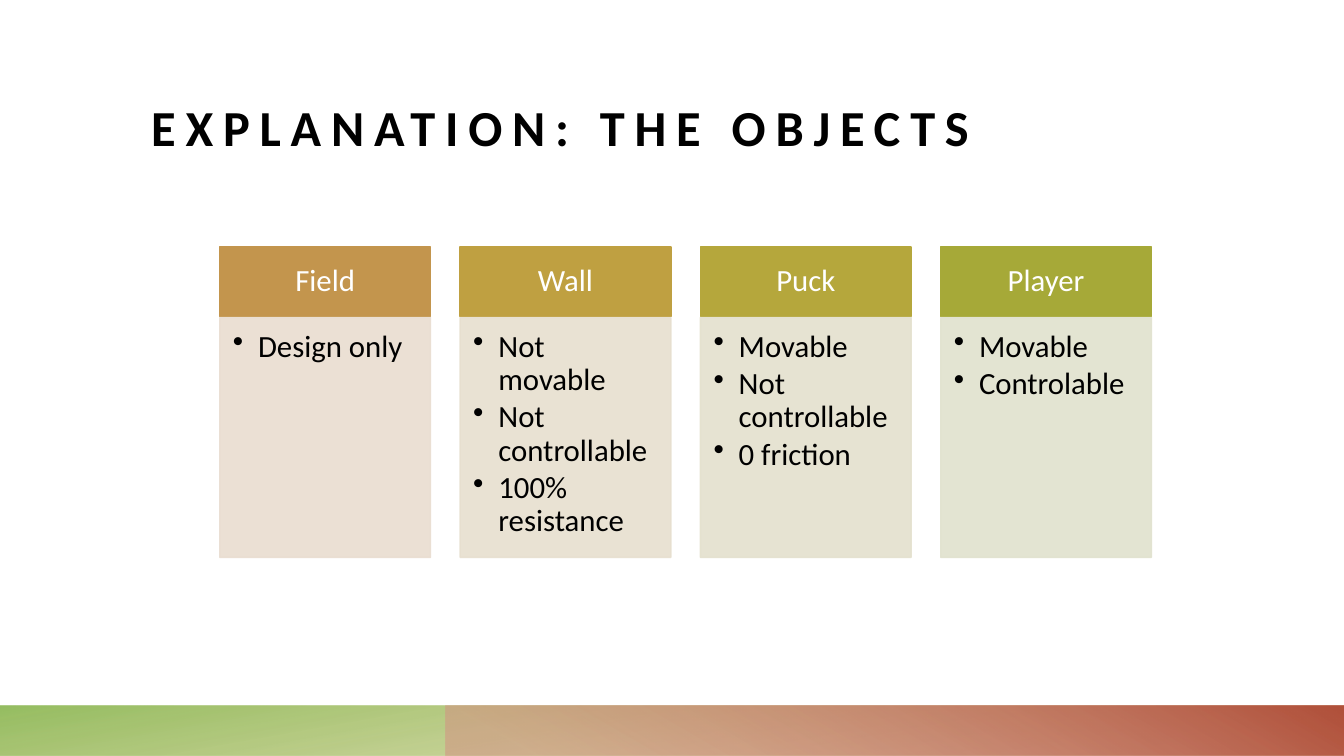
"""Build the slide that lists the game objects and their properties."""
from pptx import Presentation
from pptx.dml.color import RGBColor
from pptx.enum import shapes, text
from pptx.oxml.ns import qn
from pptx.util import Inches, Pt

TITLE = "EXPLANATION: THE OBJECTS"
OBJECTS = [
    ("Field", ["Design only"]),
    ("Wall", ["Not movable", "Not controllable", "100% resistance"]),
    ("Puck", ["Movable", "Not controllable", "0 friction"]),
    ("Player", ["Movable", "Controlable"]),
]
COLORS = {
    "black": "000000", "white": "FFFFFF",
    "olive": "A6A938", "green": "83B246", "pink": "D69384", "red": "B1513B",
    "heads": ["C3954D", "BFA041", "B5A73C", "A6A938"],
    "bodies": ["E9DDD0", "E7DFCF", "E4E1CE", "E1E2CE"],
}
BANDS = [
    (0, 13.33, 100, [(0.14, "olive", 28), (1, "green", 85)]),
    (4.42, 8.92, 60, [(0.09, "pink", 55), (0.99, "red", 100)]),
]
FIRST_LEFT, LAST_LEFT, TOP = 2.18, 9.33, 2.45
WIDTH, HEAD_HEIGHT, BODY_HEIGHT = 2.09, 0.69, 2.38
PITCH = (LAST_LEFT - FIRST_LEFT) / (len(OBJECTS) - 1)


def rgb(value):
    return RGBColor.from_string(value)


def set_alphas(sp, alphas):
    for color, alpha in zip(sp._element.spPr.iter(qn("a:srgbClr")), alphas):
        color.makeelement(qn("a:alpha"))
        etree_alpha = color.makeelement(qn("a:alpha"), {"val": str(alpha * 1000)})
        color.append(etree_alpha)


def add_rect(s, left, top, width, height):
    sp = s.shapes.add_shape(shapes.MSO_SHAPE.RECTANGLE, Inches(left), Inches(top),
                            Inches(width), Inches(height))
    sp.shadow.inherit = False
    return sp


def add_band(s, left, width, angle, stops):
    sp = add_rect(s, left, 7, width, 0.5)
    sp.line.fill.background()
    sp.fill.gradient()
    sp.fill.gradient_angle = angle
    for stop, (position, color, _) in zip(sp.fill.gradient_stops, stops):
        stop.position = position
        stop.color.rgb = rgb(COLORS[color])
    set_alphas(sp, [alpha for _, _, alpha in stops])


def set_margins(tf, left, top, right, bottom):
    tf.margin_left, tf.margin_top = Inches(left), Inches(top)
    tf.margin_right, tf.margin_bottom = Inches(right), Inches(bottom)


def set_font(p, size, color):
    p.font.name, p.font.size = "Calibri", Pt(size)
    p.font.color.rgb = rgb(color)


def add_cell(s, left, top, height, fill, lines, color, anchor, align, margins):
    sp = add_rect(s, left, top, WIDTH, height)
    sp.fill.solid()
    sp.fill.fore_color.rgb = sp.line.color.rgb = rgb(fill)
    sp.line.width = Pt(1)
    tf = sp.text_frame
    tf.word_wrap, tf.vertical_anchor = True, anchor
    set_margins(tf, *margins)
    tf.text = "\n".join(lines)
    for p in tf.paragraphs:
        p.alignment, p.line_spacing = align, 0.9
        set_font(p, 22, color)
    return sp


def add_bullets(tf):
    for p in tf.paragraphs:
        p.space_after = Pt(3)
        pPr = p._p.get_or_add_pPr()
        pPr.set("marL", str(Inches(0.25)))
        pPr.set("indent", str(-Inches(0.25)))
        bullet = pPr.makeelement(qn("a:buChar"), {"char": "•"})
        pPr.insert_element_before(bullet, "a:tabLst", "a:defRPr", "a:extLst")


def add_title(s):
    title = s.shapes.title
    title.left, title.top = Inches(1.5), Inches(0.2)
    title.width, title.height = Inches(11.2), Inches(1.35)
    tf = title.text_frame
    tf.text = TITLE
    tf.word_wrap, tf.auto_size = True, text.MSO_AUTO_SIZE.NONE
    tf.vertical_anchor = text.MSO_ANCHOR.BOTTOM
    set_margins(tf, 0, 0, 0, 0)
    p = tf.paragraphs[0]
    p.alignment = text.PP_ALIGN.LEFT
    set_font(p, 36, COLORS["black"])
    p.font.bold = True
    p.runs[0]._r.get_or_add_rPr().set("spc", "700")


def main():
    prs = Presentation()
    prs.slide_width, prs.slide_height = Inches(13.33), Inches(7.5)
    s = prs.slides.add_slide(prs.slide_layouts[5])
    for band in BANDS:
        add_band(s, *band)
    add_title(s)
    for i, (name, traits) in enumerate(OBJECTS):
        left = FIRST_LEFT + i * PITCH
        add_cell(s, left, TOP, HEAD_HEIGHT, COLORS["heads"][i], [name], COLORS["white"],
                 text.MSO_ANCHOR.MIDDLE, text.PP_ALIGN.CENTER, (0.17, 0.1, 0.17, 0.1))
        body = add_cell(s, left, TOP + HEAD_HEIGHT + 0.01, BODY_HEIGHT, COLORS["bodies"][i],
                        traits, COLORS["black"], text.MSO_ANCHOR.TOP, text.PP_ALIGN.LEFT,
                        (0.13, 0.13, 0.17, 0.19))
        set_alphas(body, [90, 90])
        add_bullets(body.text_frame)
    prs.save("out.pptx")


if __name__ == "__main__":
    main()
